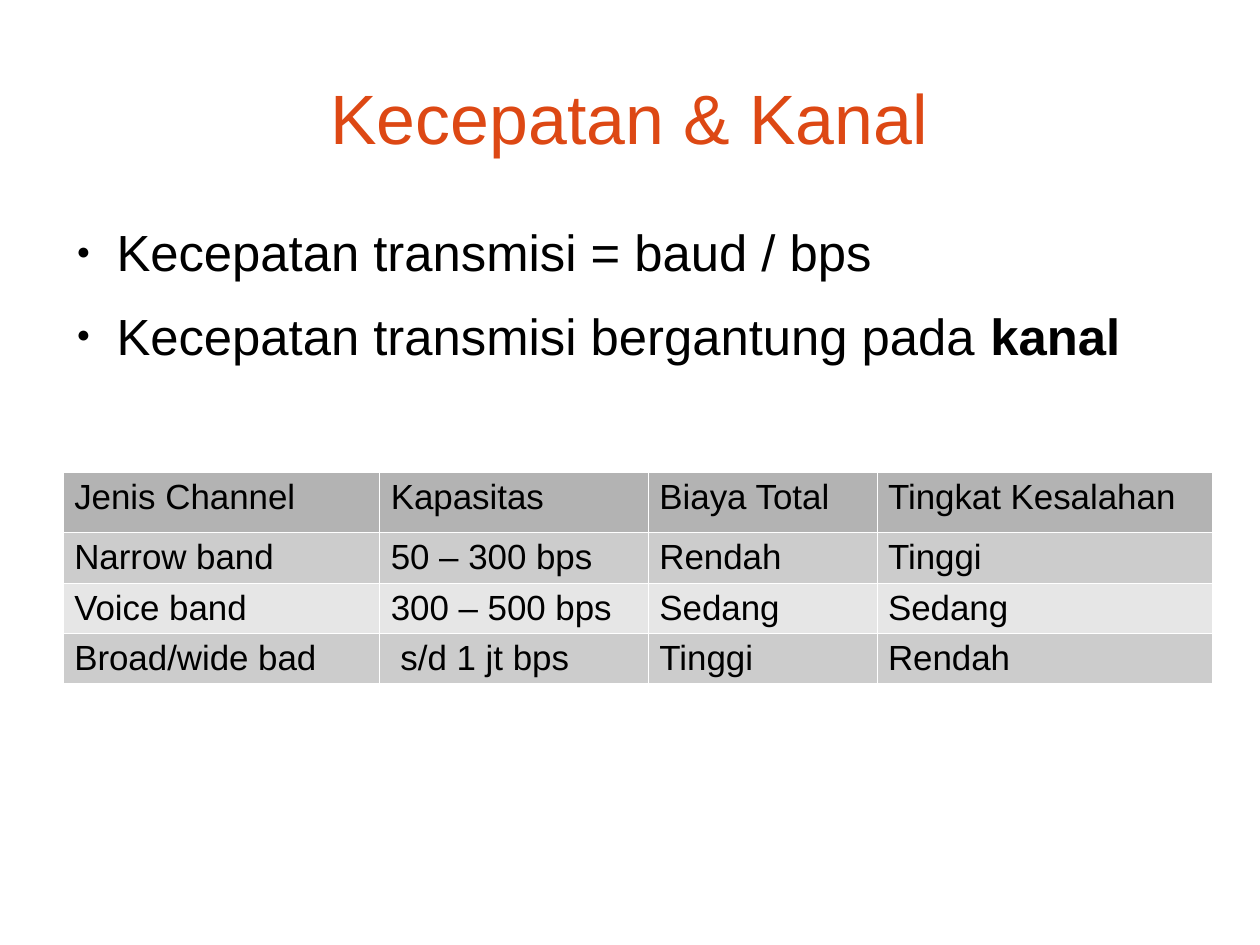
from dataclasses import dataclass

from lxml import etree
from pptx import Presentation
from pptx.dml.color import RGBColor
from pptx.enum import text as t
from pptx.oxml import ns
from pptx.util import Pt


@dataclass(frozen=True)
class Theme:
    face: str = "Arial"
    ink: str = "000000"
    accent: str = "DD4814"
    rule: str = "FFFFFF"
    head: str = "B3B3B3"
    bands: tuple[str, str] = ("CCCCCC", "E6E6E6")
    title: float = 44
    body: float = 32
    cell: float = 22


@dataclass(frozen=True)
class Box:
    left: float
    top: float
    width: float
    height: float

    def place(self) -> tuple[Pt, Pt, Pt, Pt]:
        return Pt(self.left), Pt(self.top), Pt(self.width), Pt(self.height)


@dataclass(frozen=True)
class Point:
    plain: str
    strong: str = ""


THEME = Theme()
TITLE = Box(39.6, 23.8, 714.2, 99.4)
BODY = Box(39.6, 139, 714.2, 344.9)
COLS = (199.4, 169.2, 144, 211.4)
TALLS = (38.2, 31.7, 31.7, 31.7)
GRID = Box(39.6, 297.2, sum(COLS), sum(TALLS))
SPACE = 6.1
POINTS = (
    Point("Kecepatan transmisi = baud / bps"),
    Point("Kecepatan transmisi bergantung pada ", "kanal"),
)
ROWS = (
    ("Jenis Channel", "Kapasitas", "Biaya Total", "Tingkat Kesalahan"),
    ("Narrow band", "50 – 300 bps", "Rendah", "Tinggi"),
    ("Voice band", "300 – 500 bps", "Sedang", "Sedang"),
    ("Broad/wide bad", "s/d 1 jt bps", "Tinggi", "Rendah"),
)
INSET = (3, 1)  # row and column of the cell whose text starts further in


def add(parent, tag: str, **attrs: str):
    return etree.SubElement(parent, ns.qn(tag), attrs)


def style(para, size: float, color: str = THEME.ink) -> None:
    para.font.name = THEME.face
    para.font.size = Pt(size)
    para.font.color.rgb = RGBColor.from_string(color)


def frame(slide, box: Box):
    """Add a wrapping text box without margins and return its text frame."""
    area = slide.shapes.add_textbox(*box.place()).text_frame
    area.word_wrap = True
    area.margin_left = area.margin_right = 0
    area.margin_top = area.margin_bottom = 0
    return area


def bullet(para) -> None:
    props = para._p.get_or_add_pPr()
    props.set("marL", str(Pt(33.8)))
    props.set("indent", str(Pt(-25.2)))
    add(add(props, "a:buClr"), "a:srgbClr", val=THEME.ink)
    add(props, "a:buSzPct", val="45000")
    add(props, "a:buFont", typeface=THEME.face)
    add(props, "a:buChar", char="●")


def border(cell) -> None:
    """Draw hairlines on all four sides; call before the fill is set."""
    props = cell._tc.get_or_add_tcPr()
    for side in ("a:lnL", "a:lnR", "a:lnT", "a:lnB"):
        line = add(props, side, w=str(Pt(0.06)))
        add(add(line, "a:solidFill"), "a:srgbClr", val=THEME.rule)


def draw_title(slide) -> None:
    area = frame(slide, TITLE)
    area.vertical_anchor = t.MSO_ANCHOR.MIDDLE
    para = area.paragraphs[0]
    para.text = "Kecepatan & Kanal"
    para.alignment = t.PP_ALIGN.CENTER
    style(para, THEME.title, THEME.accent)


def draw_points(slide) -> None:
    area = frame(slide, BODY)
    for i, point in enumerate(POINTS):
        para = area.add_paragraph() if i else area.paragraphs[0]
        bullet(para)
        para.space_after = Pt(14.2)
        para.add_run().text = point.plain
        if point.strong:
            run = para.add_run()
            run.text = point.strong
            run.font.bold = True
        style(para, THEME.body)


def draw_table(slide) -> None:
    table = slide.shapes.add_table(len(ROWS), len(COLS), *GRID.place()).table
    table.first_row = table.horz_banding = False
    for col, width in zip(table.columns, COLS):
        col.width = Pt(width)
    for r, (words, tall) in enumerate(zip(ROWS, TALLS)):
        table.rows[r].height = Pt(tall)
        shade = THEME.bands[(r - 1) % 2] if r else THEME.head
        for c, word in enumerate(words):
            cell = table.cell(r, c)
            border(cell)
            cell.fill.solid()
            cell.fill.fore_color.rgb = RGBColor.from_string(shade)
            cell.margin_left = Pt(7.2 + SPACE * ((r, c) == INSET))
            cell.margin_right = Pt(7.2)
            cell.margin_top = Pt(3.6)
            cell.margin_bottom = Pt(1.7)
            cell.text = word
            style(cell.text_frame.paragraphs[0], THEME.cell)


def main() -> None:
    deck = Presentation()
    deck.slide_width, deck.slide_height = Pt(793.7), Pt(595.28)
    slide = deck.slides.add_slide(deck.slide_layouts[6])
    draw_title(slide)
    draw_points(slide)
    draw_table(slide)
    deck.save("out.pptx")


if __name__ == "__main__":
    main()
